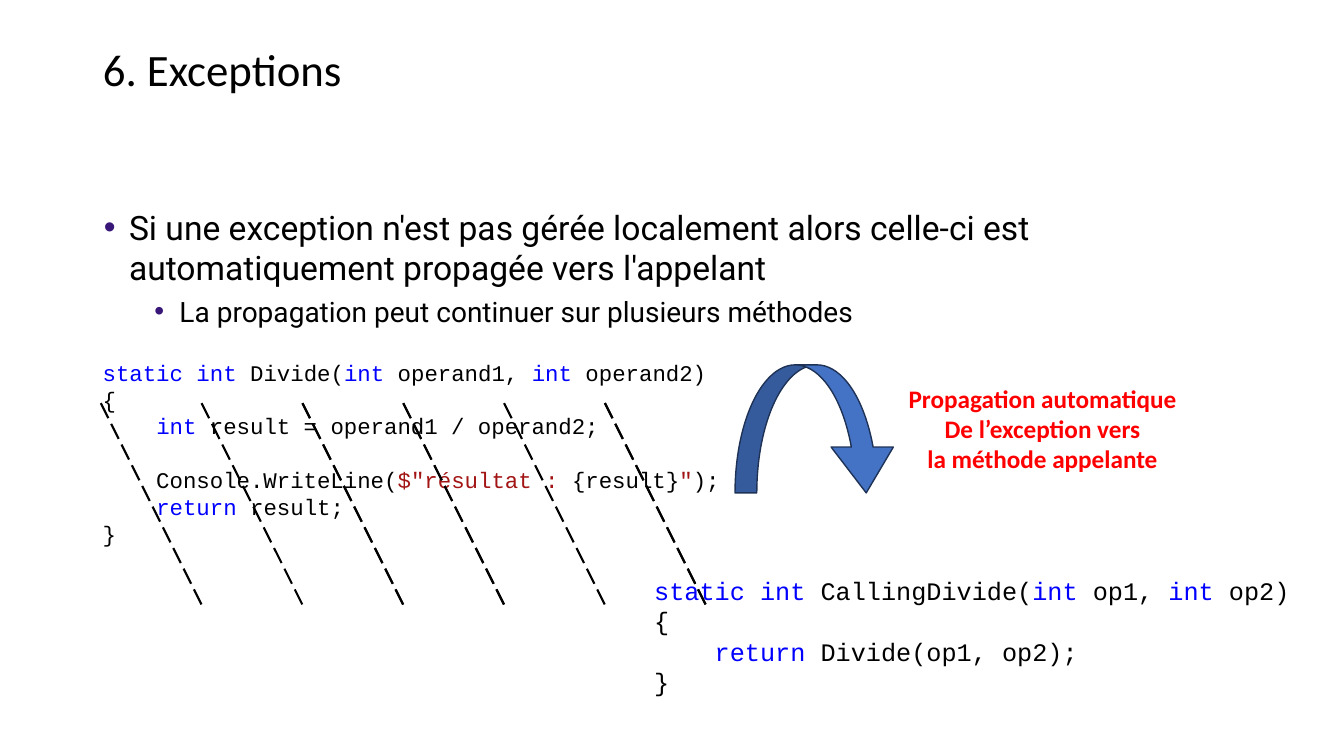
from lxml.etree import SubElement
from pptx import Presentation
from pptx.dml.color import RGBColor
from pptx.enum.dml import MSO_LINE
from pptx.enum.shapes import MSO_SHAPE
from pptx.enum.text import MSO_ANCHOR, MSO_AUTO_SIZE, PP_ALIGN
from pptx.oxml.ns import qn
from pptx.util import Inches, Pt

COLORS = {
    "text": "000000",
    "keyword": "0000FF",
    "string": "A31515",
    "bullet": "391778",
    "arrow": "4472C4",
    "arrow_edge": "1E3256",
    "alert": "FF0000",
}
TITLE = {"name": "Calibri", "size": Pt(32), "bold": False}
CALLOUT = {"name": "Calibri", "size": Pt(18), "bold": True}


def style_font(font, formats, color):
    for attribute, value in formats.items():
        setattr(font, attribute, value)
    font.color.rgb = RGBColor.from_string(COLORS[color])


presentation = Presentation()
presentation.slide_width = Inches(13.33)
presentation.slide_height = Inches(7.5)
slide = presentation.slides.add_slide(presentation.slide_layouts[1])
shapes = slide.shapes

# Title and bullet list
title, body = slide.placeholders
for placeholder, top, height, anchor in (
    (title, 0.4, 0.63, MSO_ANCHOR.MIDDLE),
    (body, 2, 1.4, MSO_ANCHOR.TOP),
):
    placeholder.left, placeholder.top = Inches(0.92), Inches(top)
    placeholder.width, placeholder.height = Inches(11.5), Inches(height)
    placeholder.text_frame.auto_size = MSO_AUTO_SIZE.NONE
    placeholder.text_frame.vertical_anchor = anchor

title.text_frame.text = "6. Exceptions"
title_paragraph = title.text_frame.paragraphs[0]
title_paragraph.alignment = PP_ALIGN.LEFT
title_paragraph.line_spacing = 0.9
style_font(title_paragraph.runs[0].font, TITLE, "text")

bullets = [
    ("Si une exception n'est pas gérée localement alors celle-ci est "
     "automatiquement propagée vers l'appelant", 24, 0.26, 0),
    ("La propagation peut continuer sur plusieurs méthodes", 20, 0.76, 5.1),
]
body.text_frame.text = "\n".join(bullet[0] for bullet in bullets)
for level, (paragraph, bullet) in enumerate(zip(body.text_frame.paragraphs, bullets)):
    text, size, indent, space_before = bullet
    paragraph.level = level
    properties = paragraph._p.get_or_add_pPr()
    properties.set("marL", str(Inches(indent)))
    properties.set("indent", str(Inches(-0.25)))
    bullet_color = SubElement(properties, qn("a:buClr"))
    SubElement(bullet_color, qn("a:srgbClr"), val=COLORS["bullet"])
    SubElement(properties, qn("a:buChar"), char="•")
    paragraph.line_spacing = 1.0
    paragraph.space_before = Pt(space_before)
    style_font(paragraph.runs[0].font, {"name": "Roboto", "size": Pt(size)}, "text")

# Code listings: each line is a list of (text, colour) runs
calling_code = [
    [("static int ", "keyword"), ("CallingDivide(", "text"), ("int", "keyword"),
     (" op1, ", "text"), ("int", "keyword"), (" op2)", "text")],
    [("{", "text")],
    [("    ", "text"), ("return ", "keyword"), ("Divide(op1, op2);", "text")],
    [("}", "text")],
]
divide_code = [
    [("static int ", "keyword"), ("Divide(", "text"), ("int", "keyword"),
     (" operand1, ", "text"), ("int", "keyword"), (" operand2)", "text")],
    [("{", "text")],
    [("    ", "text"), ("int ", "keyword"), ("result = operand1 / operand2;", "text")],
    [("    Console.WriteLine(", "text"), ("$\"résultat : ", "string"),
     ("{result}", "text"), ("\"", "string"), (");", "text")],
    [("    ", "text"), ("return ", "keyword"), ("result;", "text")],
    [("}", "text")],
]
listings = [
    (calling_code, 18, (6.39, 5.66, 6.66, 1.31), None),
    (divide_code, 16, (0.92, 3.51, 9.2, 1.99), 3),
]
for code, size, position, line_after_gap in listings:
    frame = shapes.add_textbox(*map(Inches, position)).text_frame
    frame.word_wrap = True
    line_height = Pt(size * 1.2)
    for number, line in enumerate(code):
        paragraph = frame.add_paragraph() if number else frame.paragraphs[0]
        paragraph.line_spacing = line_height
        if number == line_after_gap:
            paragraph.space_before = line_height
        for text, color in line:
            run = paragraph.add_run()
            run.text = text
            style_font(run.font, {"name": "Courier New", "size": Pt(size)}, color)

# Dashed hatching over the skipped statements
hatch_top, hatch_bottom, hatch_run = 4.5, 5.54, 0.87
hatch_starts = [1.41, 2.03, 2.64, 3.19, 3.81, 4.42, 5.03, 5.65, 6.27]
builder = shapes.build_freeform(hatch_starts[0], hatch_top, scale=Inches(1))
for start in hatch_starts:
    if start != hatch_starts[0]:
        builder.move_to(start, hatch_top)
    builder.add_line_segments([(start + hatch_run, hatch_bottom)], close=False)
hatching = builder.convert_to_shape()
hatching.shadow.inherit = False
hatching.fill.background()
hatching.line.color.rgb = RGBColor.from_string(COLORS["text"])
hatching.line.width = Pt(1.5)
hatching.line.dash_style = MSO_LINE.LONG_DASH

# Propagation arrow and its caption
arrow = shapes.add_shape(MSO_SHAPE.CURVED_DOWN_ARROW,
                         Inches(7.29), Inches(3.62), Inches(1.61), Inches(1.27))
arrow.shadow.inherit = False
for index, value in enumerate((0.17, 0.486, 0.358)):
    arrow.adjustments[index] = value
arrow.fill.solid()
arrow.fill.fore_color.rgb = RGBColor.from_string(COLORS["arrow"])
arrow.line.color.rgb = RGBColor.from_string(COLORS["arrow_edge"])
arrow.line.width = Pt(1)

caption = shapes.add_textbox(Inches(8.9), Inches(3.75), Inches(2.88), Inches(1.01))
caption.text_frame.word_wrap = False
caption.text_frame.text = "Propagation automatique\nDe l’exception vers\nla méthode appelante"
for paragraph in caption.text_frame.paragraphs:
    paragraph.alignment = PP_ALIGN.CENTER
    style_font(paragraph.runs[0].font, CALLOUT, "alert")

presentation.save("out.pptx")
